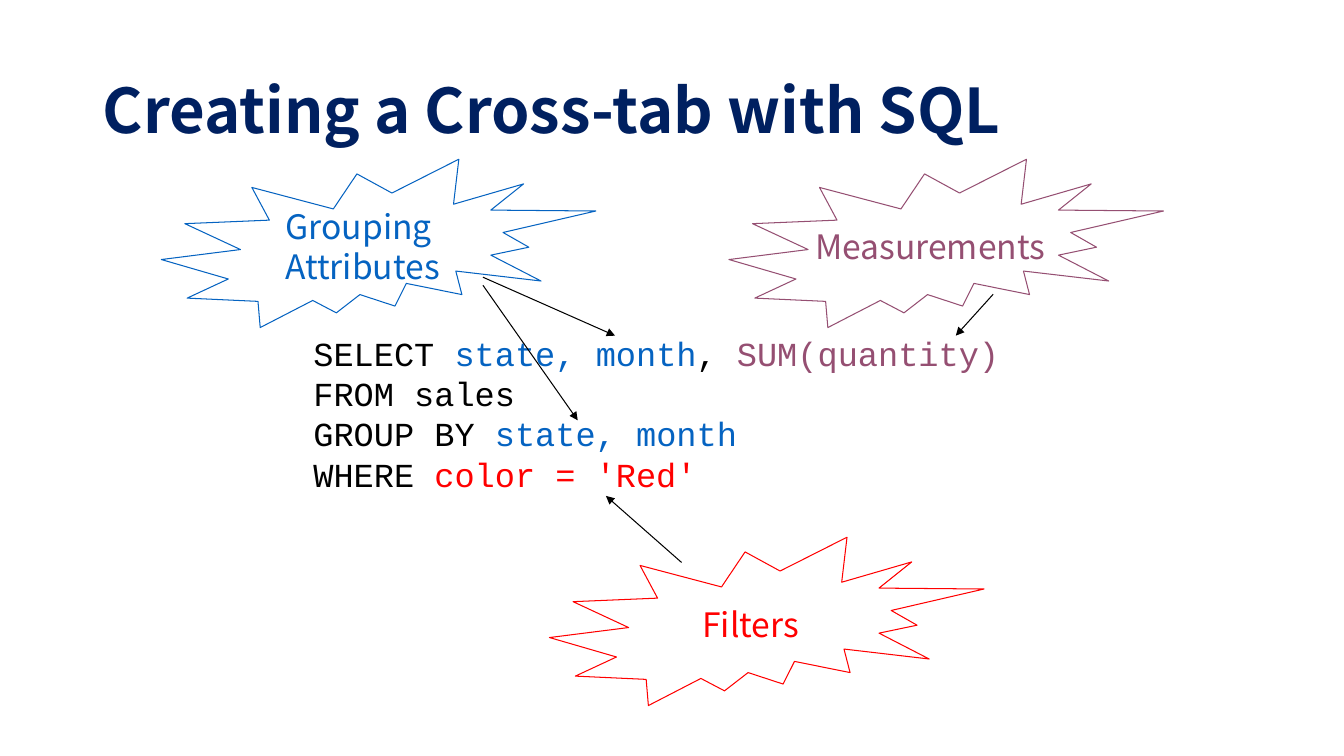
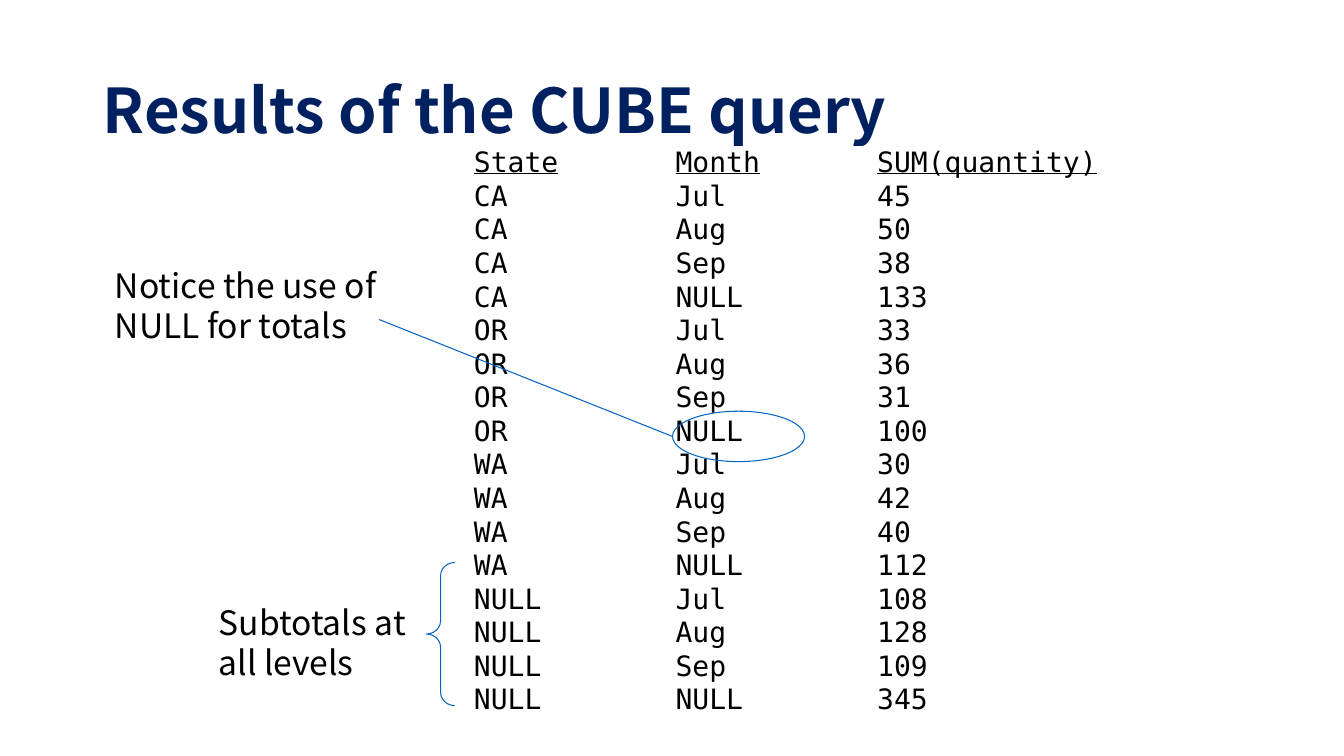
from dataclasses import dataclass

from lxml import etree
from pptx import Presentation
from pptx.dml.color import RGBColor
from pptx.enum.shapes import MSO_CONNECTOR, MSO_SHAPE
from pptx.enum.text import MSO_ANCHOR, MSO_AUTO_SIZE, PP_ALIGN
from pptx.oxml.ns import qn
from pptx.util import Inches, Pt

STRAIGHT = MSO_CONNECTOR.STRAIGHT
SEAL = MSO_SHAPE.EXPLOSION2
OVAL = MSO_SHAPE.OVAL
BRACE = MSO_SHAPE.LEFT_BRACE
MIDDLE = MSO_ANCHOR.MIDDLE
LEFT = PP_ALIGN.LEFT
CENTER = PP_ALIGN.CENTER
FIT_SHAPE = MSO_AUTO_SIZE.SHAPE_TO_FIT_TEXT
NO_FIT = MSO_AUTO_SIZE.NONE
TITLE_ONLY = 5


@dataclass(frozen=True)
class Theme:
    navy: RGBColor = RGBColor(0x00, 0x20, 0x60)
    black: RGBColor = RGBColor(0x00, 0x00, 0x00)
    blue: RGBColor = RGBColor(0x05, 0x63, 0xC1)
    plum: RGBColor = RGBColor(0x95, 0x4F, 0x72)
    red: RGBColor = RGBColor(0xFF, 0x00, 0x00)
    sans: str = "Noto Sans CJK SC"
    code: str = "Courier New"
    mono: str = "DejaVu Sans Mono"
    title_size: int = 44
    text_size: int = 24
    table_size: int = 20
    line_width: float = 0.75


THEME = Theme()
TITLE_FONT = {"name": THEME.sans, "size": Pt(THEME.title_size), "bold": True}
TEXT_FONT = {"name": THEME.sans, "size": Pt(THEME.text_size)}
CODE_FONT = {"name": THEME.code, "size": Pt(THEME.text_size)}
TABLE_FONT = {"name": THEME.mono, "size": Pt(THEME.table_size)}


@dataclass(frozen=True)
class Box:
    left: float
    top: float
    width: float
    height: float

    def lengths(self):
        return [Inches(v) for v in (self.left, self.top, self.width, self.height)]


@dataclass(frozen=True)
class Callout:
    label: str
    left: float
    top: float
    color: RGBColor


@dataclass(frozen=True)
class Line:
    start: tuple[float, float]
    end: tuple[float, float]


@dataclass(frozen=True)
class Note:
    text: str
    box: Box


TITLE_BOX = Box(0.92, 0.4, 11.5, 1.45)
SEAL_WIDTH, SEAL_HEIGHT = 4.31, 1.67

CALLOUTS = [
    Callout("Grouping \vAttributes", 1.6, 1.58, THEME.blue),
    Callout("Measurements", 7.23, 1.58, THEME.plum),
    Callout("Filters", 5.45, 5.33, THEME.red),
]
ARROWS = [
    Line((4.79, 2.75), (6.1, 3.33)),
    Line((4.79, 2.83), (5.73, 4.17)),
    Line((9.85, 2.92), (9.48, 3.33)),
    Line((6.76, 5.58), (6.01, 4.92)),
]
QUERY_BOX = Box(3.01, 3.25, 7.06, 1.72)
QUERY = [
    [("SELECT ", THEME.black), ("state, month", THEME.blue),
     (", ", THEME.black), ("SUM(quantity)", THEME.plum)],
    [("FROM sales", THEME.black)],
    [("GROUP BY ", THEME.black), ("state, month", THEME.blue)],
    [("WHERE ", THEME.black), ("color = 'Red'", THEME.red)],
]

HEADINGS = ("State", "Month", "SUM(quantity)")
MONTHS = ("Jul", "Aug", "Sep", "NULL")
TOTALS = {
    "CA": (45, 50, 38, 133),
    "OR": (33, 36, 31, 100),
    "WA": (30, 42, 40, 112),
    "NULL": (108, 128, 109, 345),
}
COLUMN_WIDTHS = (2, 2, 3.16)
ROW_HEIGHT = 1 / 3
RESULTS_LEFT, RESULTS_TOP = 4.6, 1.45

NOTES = [
    Note("Notice the use of NULL for totals", Box(1.04, 2.58, 3.38, 0.91)),
    Note("Subtotals at all levels", Box(2.07, 5.92, 2.34, 0.91)),
]
NULL_RING = Box(6.67, 4.08, 1.31, 0.5)
NULL_POINTER = Line((6.67, 4.33), (3.76, 3.17))
SUBTOTAL_BRACE = Box(4.23, 5.58, 0.28, 1.42)


def set_font(font, style: dict, color: RGBColor) -> None:
    for attribute, value in style.items():
        setattr(font, attribute, value)
    font.color.rgb = color


def write(paragraph, text: str, style: dict, color: RGBColor) -> None:
    """Append text to the paragraph, breaking lines at each vertical tab."""
    for index, part in enumerate(text.split("\v")):
        if index:
            paragraph.add_line_break()
        run = paragraph.add_run()
        run.text = part
        set_font(run.font, style, color)


def place(shape, box: Box) -> None:
    shape.left, shape.top, shape.width, shape.height = box.lengths()


def add_titled_slide(prs, title: str):
    slide = prs.slides.add_slide(prs.slide_layouts[TITLE_ONLY])
    place(slide.shapes.title, TITLE_BOX)
    frame = slide.shapes.title.text_frame
    frame.vertical_anchor = MIDDLE
    frame.auto_size = NO_FIT
    paragraph = frame.paragraphs[0]
    paragraph.alignment = LEFT
    paragraph.line_spacing = 0.9
    write(paragraph, title, TITLE_FONT, THEME.navy)
    return slide


def add_outline(slide, preset, box: Box, color: RGBColor):
    shape = slide.shapes.add_shape(preset, *box.lengths())
    shape.shadow.inherit = False
    shape.fill.background()
    shape.line.color.rgb = color
    shape.line.width = Pt(THEME.line_width)
    return shape


def add_line(slide, line: Line, color: RGBColor, arrow: bool = False) -> None:
    ends = [Inches(v) for v in (*line.start, *line.end)]
    connector = slide.shapes.add_connector(STRAIGHT, *ends)
    connector.line.color.rgb = color
    connector.line.width = Pt(THEME.line_width)
    if arrow:
        stroke = connector.line._get_or_add_ln()
        etree.SubElement(stroke, qn("a:tailEnd"), type="triangle")
    etree.SubElement(connector._element.spPr, qn("a:effectLst"))


def add_callout(slide, callout: Callout) -> None:
    box = Box(callout.left, callout.top, SEAL_WIDTH, SEAL_HEIGHT)
    frame = add_outline(slide, SEAL, box, callout.color).text_frame
    frame.word_wrap = False
    frame.vertical_anchor = MIDDLE
    frame.paragraphs[0].alignment = CENTER
    write(frame.paragraphs[0], callout.label, TEXT_FONT, callout.color)


def add_text_frame(slide, box: Box, wrap: bool):
    frame = slide.shapes.add_textbox(*box.lengths()).text_frame
    frame.word_wrap = wrap
    frame.auto_size = FIT_SHAPE
    return frame


def add_query(slide) -> None:
    frame = add_text_frame(slide, QUERY_BOX, wrap=False)
    for index, clause in enumerate(QUERY):
        paragraph = frame.add_paragraph() if index else frame.paragraphs[0]
        for text, color in clause:
            write(paragraph, text, CODE_FONT, color)


def add_results(slide) -> None:
    rows = [HEADINGS] + [
        (state, month, str(total))
        for state, totals in TOTALS.items()
        for month, total in zip(MONTHS, totals)
    ]
    box = Box(RESULTS_LEFT, RESULTS_TOP, sum(COLUMN_WIDTHS), ROW_HEIGHT * len(rows))
    table = slide.shapes.add_table(len(rows), len(HEADINGS), *box.lengths()).table
    table.first_row = table.horz_banding = False
    for column, width in zip(table.columns, COLUMN_WIDTHS):
        column.width = Inches(width)
    for row_index, values in enumerate(rows):
        style = TABLE_FONT | {"underline": row_index == 0}
        table.rows[row_index].height = Inches(ROW_HEIGHT)
        for column_index, value in enumerate(values):
            cell = table.cell(row_index, column_index)
            cell.fill.background()
            cell.margin_top = cell.margin_bottom = 0
            cell.vertical_anchor = MIDDLE
            write(cell.text_frame.paragraphs[0], value, style, THEME.black)


def build_query_slide(prs) -> None:
    slide = add_titled_slide(prs, "Creating a Cross-tab with SQL")
    add_query(slide)
    for callout in CALLOUTS:
        add_callout(slide, callout)
    for arrow in ARROWS:
        add_line(slide, arrow, THEME.black, arrow=True)


def build_results_slide(prs) -> None:
    slide = add_titled_slide(prs, "Results of the CUBE query")
    add_results(slide)
    add_outline(slide, OVAL, NULL_RING, THEME.blue)
    add_line(slide, NULL_POINTER, THEME.blue)
    for note in NOTES:
        frame = add_text_frame(slide, note.box, wrap=True)
        write(frame.paragraphs[0], note.text, TEXT_FONT, THEME.black)
    brace = add_outline(slide, BRACE, SUBTOTAL_BRACE, THEME.blue)
    brace.adjustments[0] = 0.47


def main() -> None:
    prs = Presentation()
    prs.slide_width, prs.slide_height = Inches(13.33), Inches(7.5)
    build_query_slide(prs)
    build_results_slide(prs)
    prs.save("out.pptx")


if __name__ == "__main__":
    main()
